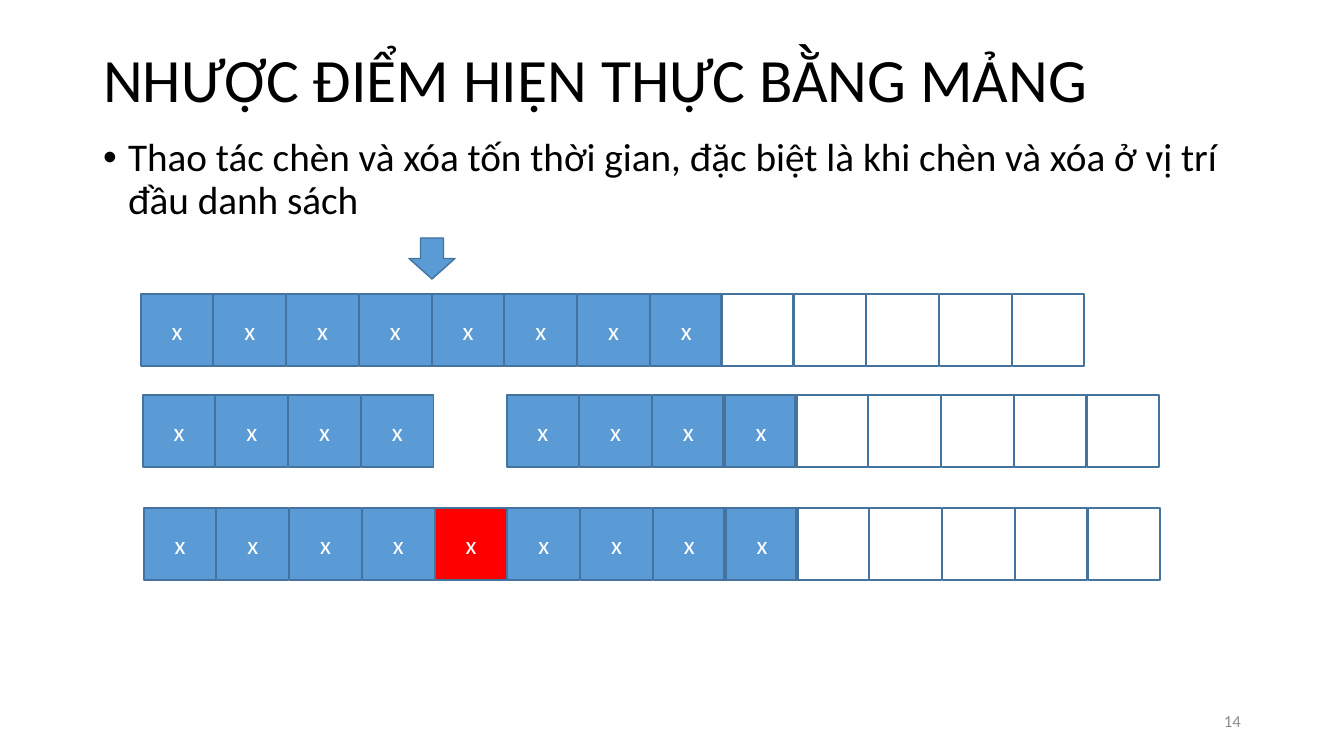
from dataclasses import dataclass

from lxml.etree import SubElement
from pptx import Presentation
from pptx.dml.color import RGBColor
from pptx.enum.shapes import MSO_SHAPE as Shape
from pptx.enum.text import MSO_ANCHOR as Anchor, MSO_AUTO_SIZE as AutoSize, PP_ALIGN as Align
from pptx.oxml.ns import qn
from pptx.util import Emu, Pt

TITLE = "NHƯỢC ĐIỂM HIỆN THỰC BẰNG MẢNG"
BULLET = "Thao tác chèn và xóa tốn thời gian, đặc biệt là khi chèn và xóa ở vị trí đầu danh sách"
PAGE = "14"
MARK = "x"
INSERT_SLOT = 4
FIRST_FREE_SLOT = 8

# Each stage of the insertion: left, top, used slots, number of free cells
STAGES = [
    (141, 294, [0, 1, 2, 3, 4, 5, 6, 7], 5),
    (143, 395, [0, 1, 2, 3, 5, 6, 7, 8], 6),
    (144, 508, [0, 1, 2, 3, 4, 5, 6, 7, 8], 6),
]
INSERTED_STAGE = 2

# Lengths in px
SLIDE_W, SLIDE_H = 1344, 756
CELL = 72
PITCH = 946 / 13
FREE_SHIFT = -2
BULLET_INDENT = 25
TITLE_BOX = (93, 40, 1159, 86)
BULLET_BOX = (93, 133, 1159, 99)
PAGE_BOX = (949, 701, 302, 40)
ARROW_BOX = (409, 238, 46, 41)


@dataclass(frozen=True)
class Theme:
    font: str = "Calibri"
    ink: str = "000000"
    muted: str = "8C8C8C"
    on_fill: str = "FFFFFF"
    used: str = "5B9BD5"
    inserted: str = "FF0000"
    outline: str = "43739E"
    title_size: int = 44
    bullet_size: int = 28
    cell_size: int = 18
    page_size: int = 12


THEME = Theme()


def px(length):
    return Emu(round(length * 914400 / 100.8))


def place(shape, box):
    shape.left, shape.top, shape.width, shape.height = map(px, box)


def write(shape, text, *, size, color, align=Align.LEFT, anchor=Anchor.MIDDLE,
          line_spacing=1.0, space_before=0):
    frame = shape.text_frame
    frame.word_wrap = True
    frame.auto_size = AutoSize.NONE
    frame.vertical_anchor = anchor
    paragraph = frame.paragraphs[0]
    paragraph.alignment = align
    paragraph.line_spacing = line_spacing
    paragraph.space_before = Pt(space_before)
    run = paragraph.add_run()
    run.text = text
    run.font.name = THEME.font
    run.font.size = Pt(size)
    run.font.color.rgb = RGBColor.from_string(color)
    return paragraph


def add_bullet(paragraph):
    properties = paragraph._p.get_or_add_pPr()
    properties.set("marL", str(px(BULLET_INDENT)))
    properties.set("indent", str(-px(BULLET_INDENT)))
    SubElement(properties, qn("a:buFont"), typeface="Arial")
    SubElement(properties, qn("a:buChar"), char="•")


def add_outlined(slide, kind, box, fill=None):
    """Add an outlined shape, see-through when no fill is given."""
    shape = slide.shapes.add_shape(kind, *map(px, box))
    shape.shadow.inherit = False
    shape.line.color.rgb = RGBColor.from_string(THEME.outline)
    shape.line.width = Pt(1)
    if fill:
        shape.fill.solid()
        shape.fill.fore_color.rgb = RGBColor.from_string(fill)
    else:
        shape.fill.background()
    return shape


def add_stage(slide, left, top, used_slots, free_count, has_inserted):
    for slot in used_slots:
        inserted = has_inserted and slot == INSERT_SLOT
        cell = add_outlined(slide, Shape.RECTANGLE, (left + slot * PITCH, top, CELL, CELL),
                            THEME.inserted if inserted else THEME.used)
        write(cell, MARK, size=THEME.cell_size, color=THEME.on_fill, align=Align.CENTER)
    for slot in range(FIRST_FREE_SLOT, FIRST_FREE_SLOT + free_count):
        add_outlined(slide, Shape.RECTANGLE,
                     (left + slot * PITCH + FREE_SHIFT, top, CELL, CELL))


def main():
    deck = Presentation()
    deck.slide_width, deck.slide_height = px(SLIDE_W), px(SLIDE_H)
    slide = deck.slides.add_slide(deck.slide_layouts[1])

    title, body = slide.shapes.title, slide.placeholders[1]
    place(title, TITLE_BOX)
    write(title, TITLE, size=THEME.title_size, color=THEME.ink, line_spacing=0.9)
    place(body, BULLET_BOX)
    add_bullet(write(body, BULLET, size=THEME.bullet_size, color=THEME.ink,
                     anchor=Anchor.TOP, line_spacing=0.9, space_before=10))

    page = slide.shapes.add_textbox(*map(px, PAGE_BOX))
    write(page, PAGE, size=THEME.page_size, color=THEME.muted, align=Align.RIGHT)

    add_outlined(slide, Shape.DOWN_ARROW, ARROW_BOX, THEME.used)
    for index, stage in enumerate(STAGES):
        add_stage(slide, *stage, has_inserted=index == INSERTED_STAGE)

    deck.save("out.pptx")


if __name__ == "__main__":
    main()
